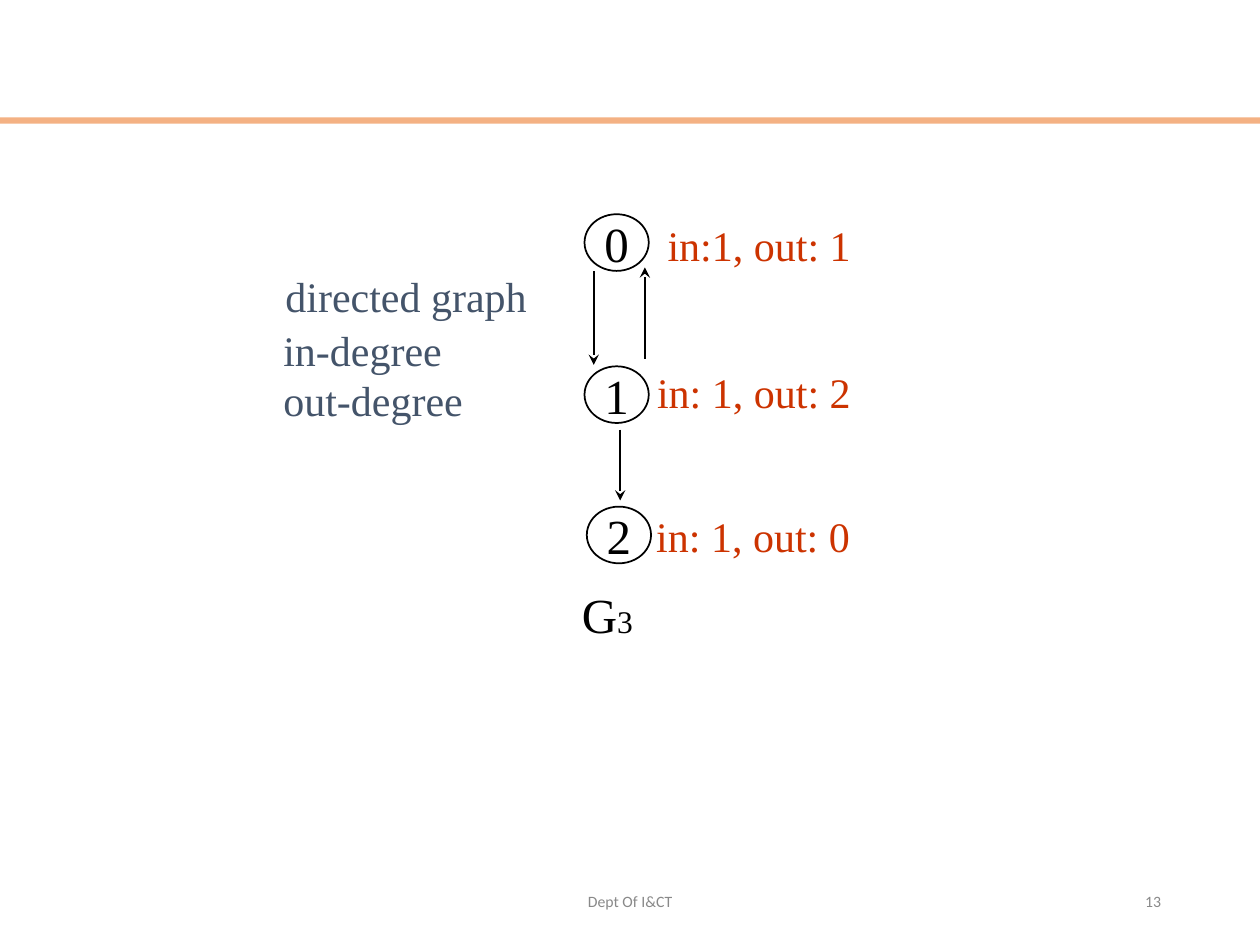
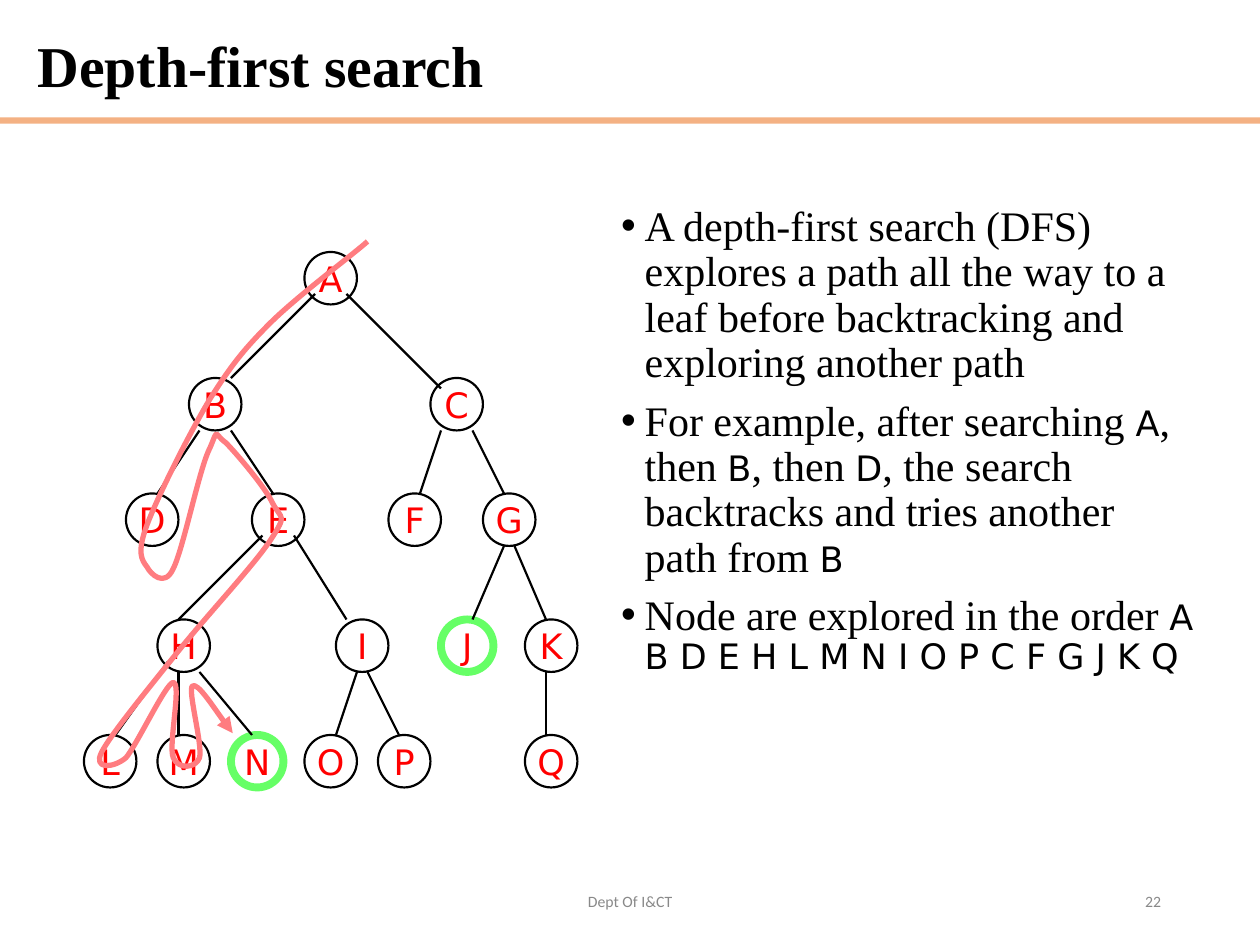
import pptx
import pptx.dml.color
import pptx.enum.shapes
import pptx.enum.text
import pptx.oxml
import pptx.oxml.ns
import pptx.util
from lxml import etree

Pt = pptx.util.Pt
qn = pptx.oxml.ns.qn
ALIGN = pptx.enum.text.PP_ALIGN
ANCHOR = pptx.enum.text.MSO_ANCHOR
SHAPE = pptx.enum.shapes.MSO_SHAPE

SERIF, SANS, FOOT = "Times New Roman", "DejaVu Sans", "Calibri"
BLACK, WHITE, RED, GREEN = "000000", "FFFFFF", "FF0000", "66FF66"
BAND, GREY, SLATE, RUST, PINK = "F4B183", "898989", "44546A", "CC3300", "FF7C80"

NODE_SIZE = 30
# Top of each tree level, then the left of every node on it
TREE_LEVELS = [
    (144, {"A": 174}),
    (216, {"B": 108, "C": 246}),
    (282, {"D": 72, "E": 144, "F": 222, "G": 276}),
    (354, {"H": 90, "I": 192, "J": 252, "K": 300}),
    (420, {"L": 48, "M": 90, "N": 132, "O": 174, "P": 216, "Q": 300}),
]
GOALS = "JN"
TREE_EDGES = [
    (180, 168, 132, 216), (198, 168, 252, 222),
    (114, 246, 90, 282), (132, 246, 156, 282),
    (252, 246, 240, 282), (270, 246, 288, 282),
    (150, 306, 102, 354), (168, 306, 198, 354),
    (288, 312, 270, 354), (294, 312, 312, 354),
    (96, 378, 66, 420), (102, 384, 102, 420), (114, 384, 144, 420),
    (204, 384, 192, 420), (210, 384, 228, 420), (312, 384, 312, 420),
]
SEARCH_START = (210, 138)
# Two control points and an end point for each curve
SEARCH_CURVES = [
    (201, 146), (169, 170), (154, 185),
    (139, 200), (132, 209), (120, 228),
    (108, 248), (90, 284), (84, 300),
    (78, 316), (81, 320), (84, 324),
    (86, 328), (94, 336), (99, 325),
    (105, 313), (114, 267), (120, 256),
    (125, 244), (122, 248), (129, 253),
    (135, 259), (152, 279), (156, 288),
    (161, 297), (164, 294), (155, 308),
    (146, 322), (118, 352), (102, 372),
    (86, 392), (63, 420), (58, 430),
    (53, 440), (65, 439), (72, 433),
    (78, 426), (95, 390), (99, 390),
    (104, 390), (96, 426), (99, 433),
    (102, 440), (112, 439), (114, 433),
    (116, 426), (107, 394), (110, 392),
    (113, 390), (128, 413), (133, 419),
]


def rgb(color):
    return pptx.dml.color.RGBColor.from_string(color)


def add_run(p, text, size, font=SERIF, color=BLACK, bold=False):
    r = p.add_run()
    r.text = text
    r.font.size, r.font.name, r.font.bold = Pt(size), font, bold
    r.font.color.rgb = rgb(color)


def add_text(s, box, lines, size, font=SERIF, color=BLACK, bold=False,
             align=ALIGN.LEFT, anchor=ANCHOR.MIDDLE):
    tf = s.shapes.add_textbox(*map(Pt, box)).text_frame
    tf.word_wrap, tf.vertical_anchor = True, anchor
    for i, line in enumerate(lines):
        p = tf.add_paragraph() if i else tf.paragraphs[0]
        p.alignment = align
        add_run(p, line, size, font, color, bold)
    return tf


def add_bullets(s, box, items):
    """Each item alternates serif prose with sans node names."""
    tf = s.shapes.add_textbox(*map(Pt, box)).text_frame
    tf.word_wrap = True
    for i, item in enumerate(items):
        p = tf.add_paragraph() if i else tf.paragraphs[0]
        pPr = p._p.get_or_add_pPr()
        pPr.set("marL", str(Pt(13.5)))
        pPr.set("indent", str(-Pt(13.5)))
        etree.SubElement(pPr, qn("a:buFont"), typeface="Arial")
        etree.SubElement(pPr, qn("a:buChar"), char="•")
        p.line_spacing = 0.9
        p.space_before = Pt(7.5 if i else 0)
        for j, text in enumerate(item):
            add_run(p, text, *((20, SANS) if j % 2 else (24, SERIF)))


def add_node(s, box, label, size, font, color, line=BLACK, width=1.25, fill=None):
    sp = s.shapes.add_shape(SHAPE.OVAL, *map(Pt, box))
    sp.shadow.inherit = False
    if fill:
        sp.fill.solid()
        sp.fill.fore_color.rgb = rgb(fill)
    else:
        sp.fill.background()
    sp.line.color.rgb, sp.line.width = rgb(line), Pt(width)
    tf = sp.text_frame
    tf.word_wrap, tf.vertical_anchor = False, ANCHOR.MIDDLE
    p = tf.paragraphs[0]
    p.alignment = ALIGN.CENTER
    add_run(p, label, size, font, color)


def add_arrowhead(sp, kind):
    etree.SubElement(sp.line._get_or_add_ln(), qn("a:tailEnd"), type=kind)


def add_line(s, ends, width=1.25, head=None):
    kind = pptx.enum.shapes.MSO_CONNECTOR.STRAIGHT
    sp = s.shapes.add_connector(kind, *map(Pt, ends))
    sp.line.color.rgb, sp.line.width = rgb(BLACK), Pt(width)
    if head:
        add_arrowhead(sp, head)
    etree.SubElement(sp._element.spPr, qn("a:effectLst"))


def add_curve(s, start, points, color, width):
    """Draw an open outline, then turn each three segments into one Bezier curve."""
    fb = s.shapes.build_freeform(*start, scale=Pt(1))
    fb.add_line_segments(points, close=False)
    sp = fb.convert_to_shape()
    sp.shadow.inherit = False
    sp.fill.background()
    sp.line.color.rgb, sp.line.width = rgb(color), Pt(width)
    add_arrowhead(sp, "triangle")
    outline = next(sp._element.iter(qn("a:path")))
    segments = outline.findall(qn("a:lnTo"))
    for i in range(0, len(segments), 3):
        bezier = etree.SubElement(outline, qn("a:cubicBezTo"))
        for segment in segments[i:i + 3]:
            bezier.append(segment[0])
            outline.remove(segment)


def add_slide(prs, number, title=None):
    s = prs.slides.add_slide(prs.slide_layouts[6])
    band = s.shapes.add_shape(SHAPE.RECTANGLE, 0, Pt(67), prs.slide_width, Pt(3.6))
    band.shadow.inherit = False
    band.fill.solid()
    band.fill.fore_color.rgb = rgb(BAND)
    band.line.fill.background()
    if title:
        tf = add_text(s, (14.4, 10.8, 656, 57), [title], 33, bold=True)
        tf.paragraphs[0].line_spacing = 0.9
    add_text(s, (238.5, 500.5, 243, 28.75), ["Dept Of I&CT"], 9, FOOT, GREY,
             align=ALIGN.CENTER)
    add_text(s, (508.5, 500.5, 162, 28.75), [str(number)], 9, FOOT, GREY,
             align=ALIGN.RIGHT)
    return s


def degree_slide(prs):
    s = add_slide(prs, 13)
    add_text(s, (152.6, 151.2, 159, 36), ["directed graph"], 24, color=SLATE,
             align=ALIGN.CENTER)
    add_text(s, (154.8, 181.5, 122.4, 65), ["in-degree", "out-degree"], 24, color=SLATE)
    vertices = [
        (334, 122.4, "in:1, out: 1", 374.4, 121.7),
        (334, 209.3, "in: 1, out: 2", 368.4, 206),
        (335.3, 289.5, "in: 1, out: 0", 367.9, 288),
    ]
    for i, (x, y, degrees, label_x, label_y) in enumerate(vertices):
        add_node(s, (x, y, 36.7, 32.4), str(i), 28, SERIF, BLACK, width=1, fill=WHITE)
        add_text(s, (label_x, label_y, 131, 36), [degrees], 24, color=RUST)
    for ends in [(354.4, 245.5, 354.4, 286), (368.5, 205, 368.5, 152.8),
                 (339.3, 155, 339.3, 208.5)]:
        add_line(s, ends, 1, "stealth")
    tf = add_text(s, (325.4, 330.5, 48, 41), ["G"], 28, anchor=ANCHOR.TOP)
    add_run(tf.paragraphs[0], "3", 18)


def search_slide(prs):
    s = add_slide(prs, 22, "Depth-first search")
    add_bullets(s, (347.8, 113.8, 342, 396), [
        ["A depth-first search (DFS) explores a path all the way to a leaf "
         "before backtracking and exploring another path"],
        ["For example, after searching ", "A", ", then ", "B", ", then ", "D",
         ", the search backtracks and tries another path from ", "B"],
        ["Node are explored in the order ", "A B D E H L M N I O P C F G J K Q"],
    ])
    for y, nodes in TREE_LEVELS:
        for name, x in nodes.items():
            line, width = (GREEN, 4.5) if name in GOALS else (BLACK, 1.25)
            add_node(s, (x, y, NODE_SIZE, NODE_SIZE), name, 20, SANS, RED, line, width)
    for ends in TREE_EDGES:
        add_line(s, ends)
    add_curve(s, SEARCH_START, SEARCH_CURVES, PINK, 3)


def main():
    prs = pptx.Presentation()
    prs.slide_width, prs.slide_height = Pt(720), Pt(540)
    degree_slide(prs)
    search_slide(prs)
    prs.save("out.pptx")


if __name__ == "__main__":
    main()
